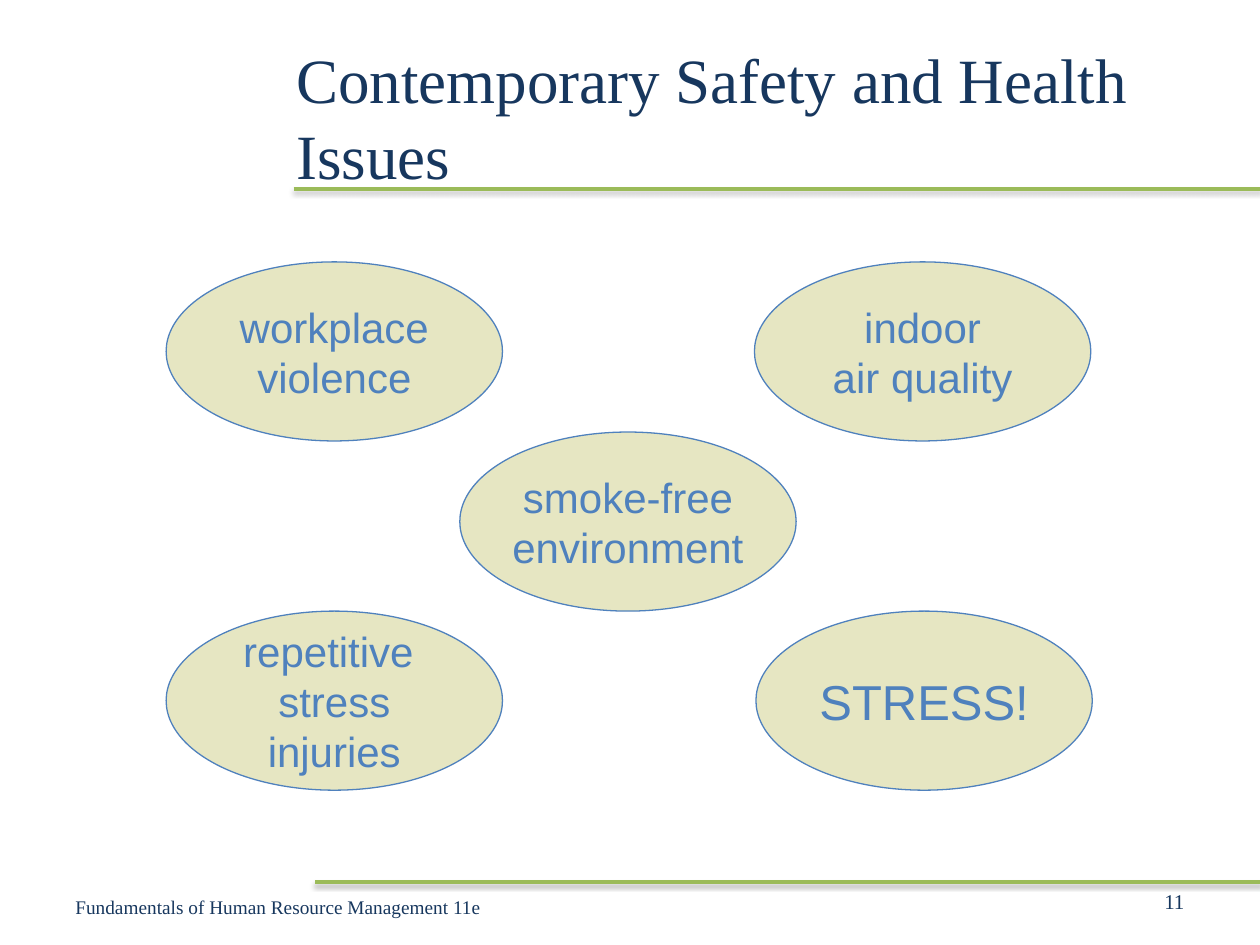
from lxml import etree
from pptx import Presentation
from pptx import util as u
from pptx.dml.color import RGBColor
from pptx.enum import shapes, text
from pptx.oxml import ns

NAVY = RGBColor(0x17, 0x37, 0x5E)
BLUE = RGBColor(0x4F, 0x81, 0xBD)
GREEN = RGBColor(0x9B, 0xBB, 0x59)
CREAM = RGBColor(0xE6, 0xE6, 0xC2)

OVAL_WIDTH, OVAL_HEIGHT = 6.78, 3.61
ISSUES = [
    # left, top, words, size
    (3.35, 5.28, "workplace\nviolence", 24),
    (15.21, 5.28, "indoor\nair quality", 24),
    (9.27, 8.71, "smoke-free\nenvironment", 24),
    (3.35, 12.32, "repetitive \nstress\ninjuries", 24),
    (15.24, 12.32, "STRESS!", 28),
]


def write(box, words, size, font="Times New Roman", color=NAVY,
          align=text.PP_ALIGN.LEFT, wrap=True):
    """Fill a shape with one paragraph per line of words, centred vertically."""
    frame = box.text_frame
    frame.text = words
    frame.auto_size = text.MSO_AUTO_SIZE.NONE
    frame.word_wrap = wrap
    frame.vertical_anchor = text.MSO_ANCHOR.MIDDLE
    for para in frame.paragraphs:
        para.alignment = align
        for span in para.runs:
            span.font.name = font
            span.font.size = u.Pt(size)
            span.font.color.rgb = color


def place(box, left, top, width, height):
    box.left, box.top = u.Cm(left), u.Cm(top)
    box.width, box.height = u.Cm(width), u.Cm(height)


def add_rule(page, left, top):
    """Draw a green line with a soft shadow out to the right edge."""
    rule = page.shapes.add_connector(
        shapes.MSO_CONNECTOR.STRAIGHT, u.Cm(left), u.Cm(top), u.Cm(25.4), u.Cm(top))
    rule.line.color.rgb = GREEN
    rule.line.width = u.Pt(2)
    effects = etree.SubElement(rule._element.spPr, ns.qn("a:effectLst"))
    shadow = etree.SubElement(
        effects, ns.qn("a:outerShdw"), blurRad=str(u.Pt(3.1)),
        dist=str(u.Pt(1.6)), dir="5400000", rotWithShape="0")
    black = etree.SubElement(shadow, ns.qn("a:srgbClr"), val="000000")
    etree.SubElement(black, ns.qn("a:alpha"), val="38000")


def add_title(page, words):
    title = page.shapes.title
    place(title, 5.72, 0.76, 18.42, 3.18)
    write(title, words, 36)


def add_label(page, left, top, width, words, size, **style):
    box = page.shapes.add_textbox(u.Cm(left), u.Cm(top), u.Cm(width), u.Cm(1.02))
    write(box, words, size, **style)


def add_issue(page, left, top, words, size):
    oval = page.shapes.add_shape(
        shapes.MSO_SHAPE.OVAL, u.Cm(left), u.Cm(top), u.Cm(OVAL_WIDTH), u.Cm(OVAL_HEIGHT))
    oval.shadow.inherit = False
    oval.fill.solid()
    oval.fill.fore_color.rgb = CREAM
    oval.line.color.rgb = BLUE
    oval.line.width = u.Pt(0.75)
    write(oval, words, size, font="Arial", color=BLUE,
          align=text.PP_ALIGN.CENTER, wrap=False)


def main():
    deck = Presentation()
    deck.slide_width, deck.slide_height = u.Cm(25.4), u.Cm(19.05)
    page = deck.slides.add_slide(deck.slide_layouts[5])

    add_rule(page, 5.92, 3.81)
    add_rule(page, 6.35, 17.78)
    add_title(page, "Contemporary Safety and Health Issues")
    add_label(page, 18.21, 17.65, 5.92, "11", 12, align=text.PP_ALIGN.RIGHT)
    add_label(page, 1.27, 17.78, 9.53,
              "Fundamentals of Human Resource Management 11e", 11)
    for issue in ISSUES:
        add_issue(page, *issue)

    deck.save("out.pptx")


if __name__ == "__main__":
    main()
